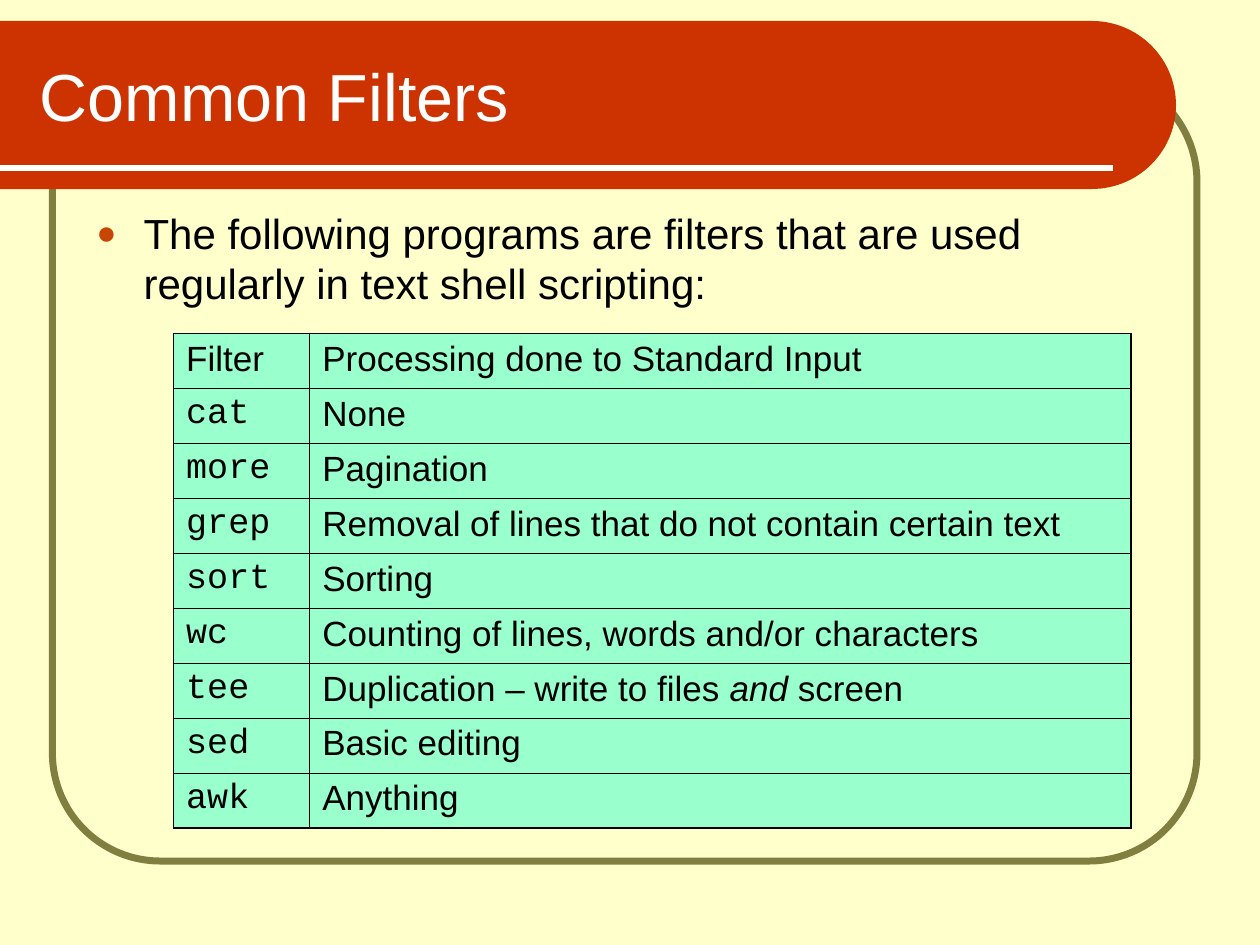
from dataclasses import dataclass
from math import cos, pi, sin

from lxml import etree
from pptx import Presentation
from pptx import util as u
from pptx.dml.color import RGBColor
from pptx.enum import shapes, text
from pptx.oxml import ns

Pt = u.Pt
CREAM = RGBColor(0xFF, 0xFF, 0xCC)
OLIVE = RGBColor(0x81, 0x7F, 0x3F)
RED = RGBColor(0xCC, 0x33, 0x00)
RUST = RGBColor(0xC9, 0x45, 0x03)
MINT = RGBColor(0x99, 0xFF, 0xCC)
WHITE = RGBColor(0xFF, 0xFF, 0xFF)
BLACK = RGBColor(0, 0, 0)
SANS, MONO = "Arial", "Courier New"
THICK, THIN = 1.08, 0.45
ROW = 31.4
COLS = (77.76, 469.44)


@dataclass
class Box:
    x: float
    y: float
    w: float
    h: float

    def lens(self) -> list:
        return [Pt(v) for v in (self.x, self.y, self.w, self.h)]


@dataclass
class Run:
    words: str
    face: str = SANS
    slant: bool = False


@dataclass
class Filter:
    name: Run
    task: list[Run]


FILTERS = [
    Filter(Run("Filter"), [Run("Processing done to Standard Input")]),
    Filter(Run("cat", MONO), [Run("None")]),
    Filter(Run("more", MONO), [Run("Pagination")]),
    Filter(Run("grep", MONO), [Run("Removal of lines that do not contain certain text")]),
    Filter(Run("sort", MONO), [Run("Sorting")]),
    Filter(Run("wc", MONO), [Run("Counting of lines, words and/or characters")]),
    Filter(Run("tee", MONO), [Run("Duplication – write to files "),
                              Run("and", slant=True), Run(" screen")]),
    Filter(Run("sed", MONO), [Run("Basic editing")]),
    Filter(Run("awk", MONO), [Run("Anything")]),
]


def apply(thing, form: dict) -> None:
    for key, val in form.items():
        setattr(thing, key, val)


def node(top, tag: str, **attrs):
    return etree.SubElement(top, ns.qn(tag), attrs)


def write(para, runs: list[Run], size: float, color: RGBColor, gap: float = 0) -> None:
    para.space_before = Pt(gap)
    for item in runs:
        run = para.add_run()
        run.text = item.words
        apply(run.font, {"name": item.face, "size": Pt(size), "italic": item.slant})
        run.font.color.rgb = color


def label(slide, box: Box, words: str, size: float, color: RGBColor,
          anchor: text.MSO_ANCHOR, gap: float = 0):
    frame = slide.shapes.add_textbox(*box.lens()).text_frame
    apply(frame, {"word_wrap": True, "vertical_anchor": anchor,
                  "auto_size": text.MSO_AUTO_SIZE.NONE})
    para = frame.paragraphs[0]
    write(para, [Run(words)], size, color, gap)
    return para


def bullet(para) -> None:
    props = para._p.get_or_add_pPr()
    props.set("marL", str(Pt(27)))
    props.set("indent", str(Pt(-27)))
    node(node(props, "a:buClr"), "a:srgbClr", val=str(RUST))
    node(props, "a:buSzPct", val="80000")
    node(props, "a:buFont", typeface=SANS)
    node(props, "a:buChar", char="●")


def frame(slide) -> None:
    shape = slide.shapes.add_shape(shapes.MSO_SHAPE.ROUNDED_RECTANGLE,
                                   *Box(30, 42, 654, 450).lens())
    shape.adjustments[0] = 0.137
    shape.shadow.inherit = False
    shape.fill.background()
    shape.line.color.rgb = OLIVE
    shape.line.width = Pt(4)


def banner(slide) -> None:
    """Draw the red band with a half-round right end and its white rule."""
    top, rad, edge, steps = 12, 48, 624, 60
    arc = [(edge + rad * cos(a), top + rad + rad * sin(a))
           for a in (pi * (i / steps - 0.5) for i in range(steps + 1))]
    pen = slide.shapes.build_freeform(0, Pt(top))
    pen.add_line_segments([(Pt(x), Pt(y)) for x, y in arc + [(0, top + 2 * rad)]])
    shape = pen.convert_to_shape()
    shape.shadow.inherit = False
    shape.fill.solid()
    shape.fill.fore_color.rgb = RED
    shape.line.fill.background()

    rule = slide.shapes.add_connector(shapes.MSO_CONNECTOR.STRAIGHT,
                                      0, Pt(96), Pt(636), Pt(96))
    rule.line.color.rgb = WHITE
    rule.line.width = Pt(3)
    node(rule._element.spPr, "a:effectLst")


def border(cell, sides: dict[str, float]) -> None:
    props = cell._tc.get_or_add_tcPr()
    for side, width in sides.items():
        line = node(props, f"a:ln{side}", w=str(Pt(width)))
        node(node(line, "a:solidFill"), "a:srgbClr", val=str(BLACK))


def grid(slide, x: float, y: float) -> None:
    """Draw the table of filters, with a thicker outer edge."""
    last, end = len(FILTERS) - 1, len(COLS) - 1
    box = Box(x, y, sum(COLS), ROW * len(FILTERS))
    table = slide.shapes.add_table(last + 1, end + 1, *box.lens()).table
    apply(table, {"first_row": False, "horz_banding": False})
    for col, width in zip(table.columns, COLS):
        col.width = Pt(width)
    for r, item in enumerate(FILTERS):
        table.rows[r].height = Pt(ROW)
        for c, runs in enumerate(([item.name], item.task)):
            cell = table.cell(r, c)
            outer = {"L": c == 0, "R": c == end, "T": r == 0, "B": r == last}
            border(cell, {k: THICK if v else THIN for k, v in outer.items()})
            cell.fill.solid()
            cell.fill.fore_color.rgb = MINT
            write(cell.text_frame.paragraphs[0], runs, 20, BLACK, 5)


def main() -> None:
    deck = Presentation()
    apply(deck, {"slide_width": Pt(720), "slide_height": Pt(540)})
    slide = deck.slides.add_slide(deck.slide_layouts[6])
    slide.background.fill.solid()
    slide.background.fill.fore_color.rgb = CREAM
    frame(slide)
    banner(slide)
    label(slide, Box(15.6, 18, 631.44, 72), "Common Filters", 38, WHITE,
          text.MSO_ANCHOR.MIDDLE)
    bullet(label(slide, Box(48, 114.9, 637.92, 379.44),
                 "The following programs are filters that are used "
                 "regularly in text shell scripting:",
                 24, BLACK, text.MSO_ANCHOR.TOP, 6))
    grid(slide, 99.2, 190.6)
    deck.save("out.pptx")


if __name__ == "__main__":
    main()
